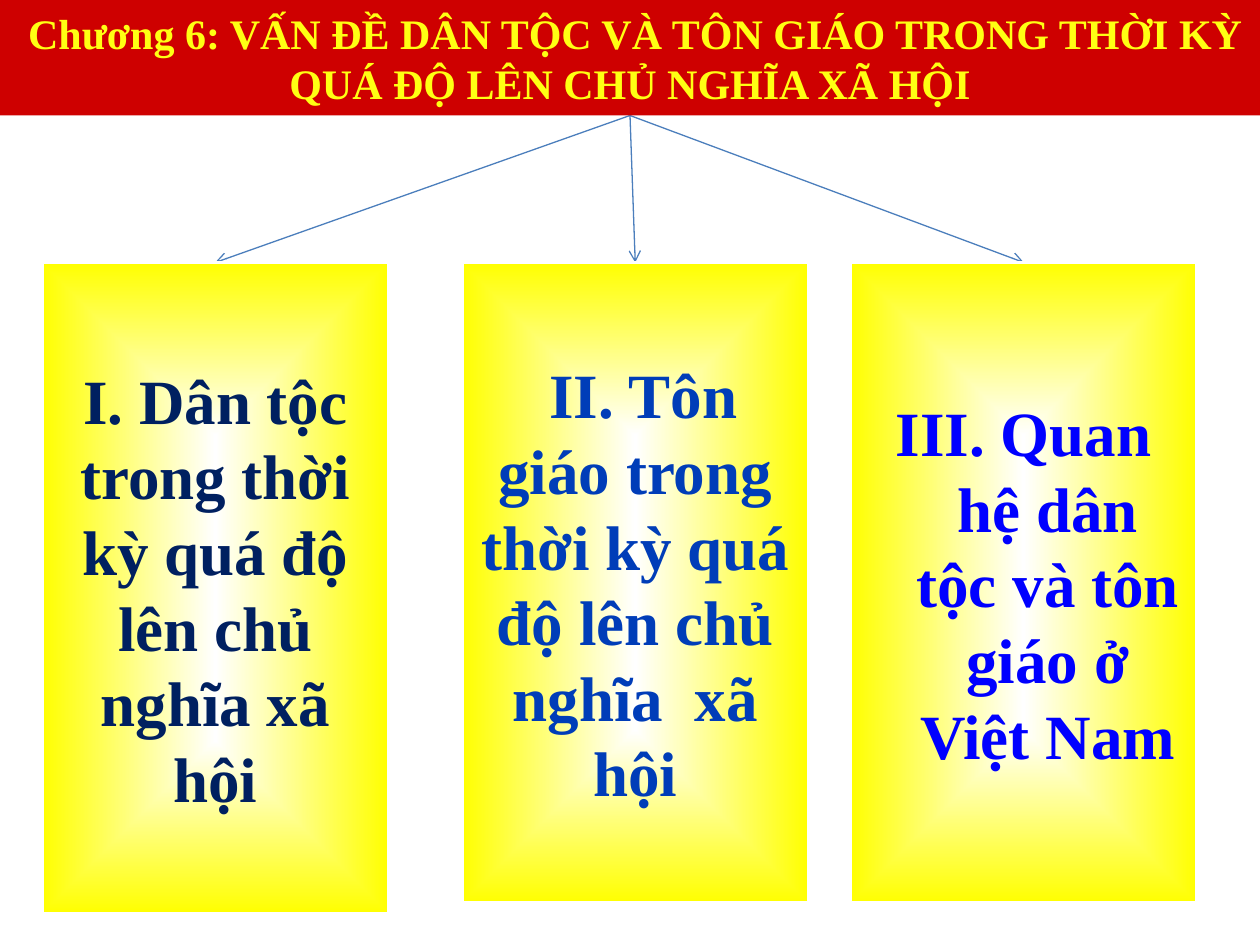
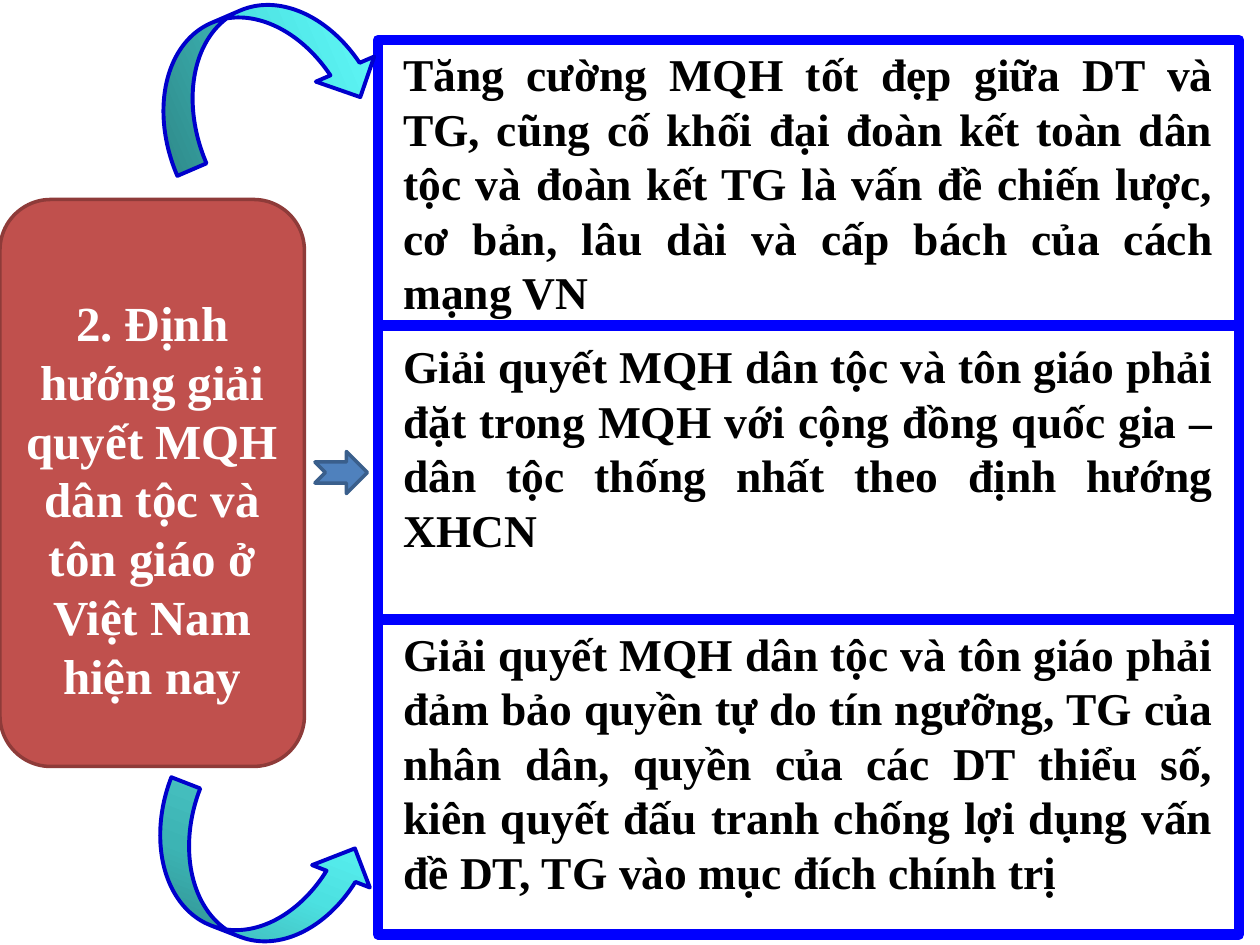
from itertools import pairwise

from pptx import Presentation
from pptx import util as u
from pptx.dml.color import RGBColor
from pptx.enum import shapes, text
from pptx.oxml import parse_xml
from pptx.oxml.ns import nsdecls, qn

W, H = u.Inches(10), u.Inches(7.5)
CELL = W / 120
FONT = "Times New Roman"
KIND = shapes.MSO_SHAPE
ALIGN = text.PP_ALIGN
MID, TOP = text.MSO_ANCHOR.MIDDLE, text.MSO_ANCHOR.TOP
HUE = {
    "band": "CE0000", "title": "FFFF13", "white": "FFFFFF", "black": "000000",
    "glow": "FFFF00", "link": "4B7EBC", "navy": "002060", "azure": "003DB8",
    "blue": "0000FF", "brick": "C0504D", "rust": "8E3B39", "steel": "4F81BD",
    "slate": "3A5F8C", "edge": "0000CC", "teal": "369E9E", "aqua": "4CE1E1",
    "cyan": "66FFFF",
}
BURST = ('<a:path path="shape"><a:fillToRect l="50000" t="50000" r="50000" b="50000"/></a:path>',
         "white", "glow")
SWEEP = ('<a:lin ang="0" scaled="0"/>', "teal", "aqua", "cyan")


def rgb(name):
    """Return the palette colour called name."""
    return RGBColor.from_string(HUE[name])


def place(shape, box):
    """Set left, top, width and height in grid cells."""
    shape.left, shape.top, shape.width, shape.height = (round(n * CELL) for n in box)


def shade(shape, path, *names):
    """Fill a shape with evenly spaced gradient stops."""
    shape.fill.gradient()
    grad = shape.element.spPr.find(qn("a:gradFill"))
    grad.clear()
    grad.set("rotWithShape", "1")
    step = 100000 // (len(names) - 1)
    stops = "".join(f'<a:gs pos="{i * step}"><a:srgbClr val="{HUE[n]}"/></a:gs>'
                    for i, n in enumerate(names))
    root = parse_xml(f'<a:gradFill {nsdecls("a")}><a:gsLst>{stops}</a:gsLst>{path}</a:gradFill>')
    for part in list(root):
        grad.append(part)


def form(slide, kind, box, fill, line, width=2, turn=0):
    """Add a preset shape with a flat or gradient fill."""
    shape = slide.shapes.add_shape(kind, 0, 0, 0, 0)
    place(shape, box)
    shape.shadow.inherit = False
    shape.rotation = turn
    if isinstance(fill, tuple):
        shade(shape, *fill)
    else:
        shape.fill.solid()
        shape.fill.fore_color.rgb = rgb(fill)
    shape.line.color.rgb = rgb(line)
    shape.line.width = u.Pt(width)
    return shape


def write(shape, words, size, hue, align=ALIGN.CENTER, anchor=MID,
          inset=(0.1, 0.05, 0.1, 0.05), hang=0):
    """Put one bold paragraph in a shape, with insets and hang in inches."""
    frame = shape.text_frame
    frame.word_wrap = True
    frame.auto_size = text.MSO_AUTO_SIZE.NONE
    frame.vertical_anchor = anchor
    (frame.margin_left, frame.margin_top,
     frame.margin_right, frame.margin_bottom) = map(u.Inches, inset)
    para = frame.paragraphs[0]
    para.alignment = align
    if hang:
        props = para._p.get_or_add_pPr()
        props.set("marL", str(u.Inches(hang)))
        props.set("indent", str(-u.Inches(hang)))
    run = para.add_run()
    run.text = words
    font = run.font
    font.name, font.size, font.bold = FONT, u.Pt(size), True
    font.color.rgb = rgb(hue)


def link(slide, start, end):
    """Draw an arrow behind all else from a bottom side to a top side."""
    line = slide.shapes.add_connector(shapes.MSO_CONNECTOR.STRAIGHT, 0, 0, 0, 0)
    line.begin_connect(start, 2)
    line.end_connect(end, 0)
    line.line.color.rgb = rgb("link")
    line.line.width = u.Pt(0.75)
    line.line._get_or_add_ln().append(parse_xml(f'<a:tailEnd {nsdecls("a")} type="arrow"/>'))
    line.element.spPr.append(parse_xml(f'<a:effectLst {nsdecls("a")}/>'))
    slide.shapes.element.insert(2, line.element)


def outline(deck):
    """Build the chapter title with its three parts."""
    slide = deck.slides.add_slide(deck.slide_layouts[5])
    band = slide.shapes.title
    place(band, (0, 0, 120, 11))
    band.fill.solid()
    band.fill.fore_color.rgb = rgb("band")
    write(band, " Chương 6: VẤN ĐỀ DÂN TỘC VÀ TÔN GIÁO TRONG THỜI KỲ QUÁ ĐỘ LÊN CHỦ NGHĨA XÃ HỘI",
          24, "title", inset=(0.1, 0, 0.1, 0))
    parts = (
        (4, 62, "navy", 0, "I. Dân tộc trong thời kỳ quá độ lên chủ nghĩa xã hội"),
        (44, 61, "azure", 0, " II. Tôn giáo trong thời kỳ quá độ lên chủ nghĩa  xã hội"),
        (81, 61, "blue", 0.38, "III. Quan hệ dân tộc và tôn giáo ở Việt Nam"),
    )
    for left, tall, hue, hang, words in parts:
        card = form(slide, KIND.RECTANGLE, (left, 25, 33, tall), BURST, "white")
        write(card, words, 36, hue, hang=hang)
        link(slide, band, card)


def guide(deck):
    """Build the heading block with arrows to three stacked points."""
    slide = deck.slides.add_slide(deck.slide_layouts[6])
    points = (
        (0.05, "Tăng cường MQH tốt đẹp giữa DT và TG, cũng cố khối đại đoàn kết toàn dân tộc "
               "và đoàn kết TG là vấn đề chiến lược, cơ bản, lâu dài và cấp bách của cách mạng VN"),
        (0.1, "Giải quyết MQH dân tộc và tôn giáo phải đặt trong MQH với cộng đồng quốc gia – "
              "dân tộc thống nhất theo định hướng XHCN"),
        (0.05, "Giải quyết MQH dân tộc và tôn giáo phải đảm bảo quyền tự do tín ngưỡng, TG của "
               "nhân dân, quyền của các DT thiểu số, kiên quyết đấu tranh chống lợi dụng vấn đề "
               "DT, TG vào mục đích chính trị"),
    )
    for (top, base), (pad, words) in zip(pairwise((3.8, 31, 59, 89)), points):
        row = form(slide, KIND.RECTANGLE, (36, top, 82, base - top), "white", "blue", 6)
        write(row, words, 26, "black", ALIGN.JUSTIFY, TOP, (0.2, pad, 0.2, 0))
    head = form(slide, KIND.ROUNDED_RECTANGLE, (0, 19, 29, 54), "brick", "rust")
    write(head, "2. Định hướng giải quyết MQH dân tộc và tôn giáo ở Việt Nam hiện nay",
          28, "white", anchor=TOP, inset=(0, 0.62, 0, 0))
    form(slide, KIND.CURVED_DOWN_ARROW, (13.6, 0.8, 22, 12.1), SWEEP, "edge", 2.25, 336.7)
    form(slide, KIND.CURVED_RIGHT_ARROW, (18.4, 72.6, 11.8, 21.7), SWEEP, "edge", 2.25, 291.2)
    form(slide, KIND.NOTCHED_RIGHT_ARROW, (30, 43, 5, 4), "steel", "slate")


def main():
    """Build and save the deck."""
    deck = Presentation()
    deck.slide_width, deck.slide_height = W, H
    outline(deck)
    guide(deck)
    deck.save("out.pptx")


if __name__ == "__main__":
    main()
